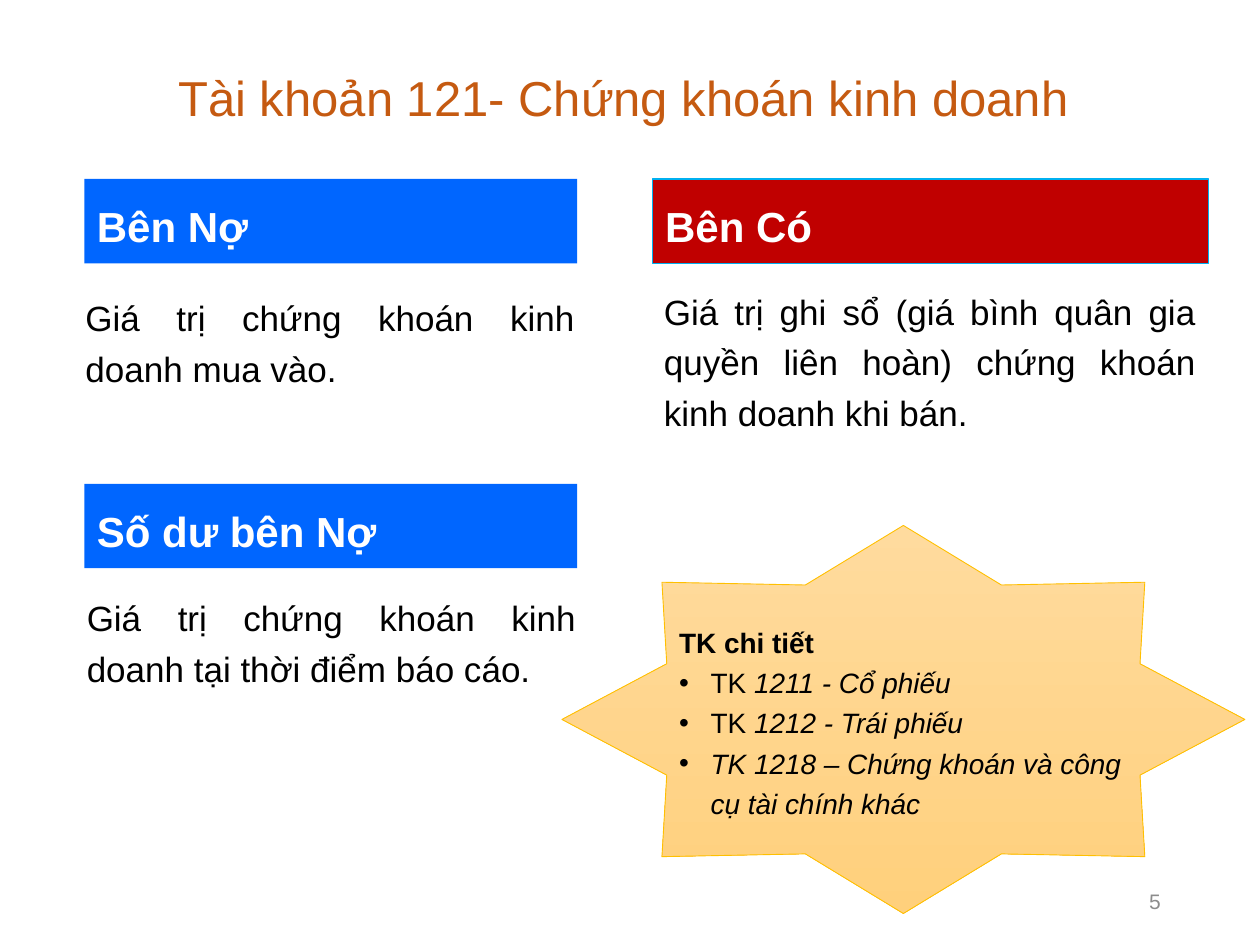
"""Build the slide on account 121, trading securities."""
from lxml import etree
from pptx import Presentation
from pptx import util as u
from pptx.dml.color import RGBColor
from pptx.enum import shapes, text
from pptx.oxml.ns import qn

CELL = u.Inches(0.1)
COLUMNS, ROWS = 100, 75
FONT = "Arial"
ORANGE = RGBColor(0xC5, 0x5A, 0x11)
BLUE = RGBColor(0x00, 0x66, 0xFF)
RED = RGBColor(0xC0, 0x00, 0x00)
CYAN = RGBColor(0x00, 0xB0, 0xF0)
GOLD = RGBColor(0xFF, 0xC0, 0x00)
PALE_GOLD = RGBColor(0xFF, 0xDB, 0x9E)
DEEP_GOLD = RGBColor(0xFF, 0xD0, 0x7C)
GRAY = RGBColor(0x8C, 0x8C, 0x8C)
BLACK = RGBColor(0, 0, 0)
WHITE = RGBColor(255, 255, 255)


def grid(box):
    """Turn a box in grid cells into slide lengths."""
    return [int(CELL * length) for length in box]


def style(paragraph, size, color, align=text.PP_ALIGN.LEFT, bold=False, spacing=1.2):
    """Format a whole paragraph."""
    paragraph.alignment = align
    paragraph.line_spacing = spacing
    font = paragraph.font
    font.name, font.size, font.bold = FONT, u.Pt(size), bold
    font.color.rgb = color


def hang(paragraph, indent, bullet=None):
    """Give a paragraph a hanging indent and an optional bullet."""
    properties = paragraph._p.get_or_add_pPr()
    properties.set("marL", str(u.Inches(indent)))
    properties.set("indent", str(-u.Inches(indent)))
    if bullet:
        etree.SubElement(properties, qn("a:buFont")).set("typeface", FONT)
        etree.SubElement(properties, qn("a:buChar")).set("char", bullet)


def add_panel(slide, kind, box, line_color=None, line_width=0.75):
    """Add a preset shape without shadow and return it."""
    shape = slide.shapes.add_shape(kind, *grid(box))
    shape.shadow.inherit = False
    if line_color is None:
        shape.line.fill.background()
    else:
        shape.line.color.rgb = line_color
        shape.line.width = u.Pt(line_width)
    shape.text_frame.word_wrap = True
    shape.text_frame.vertical_anchor = text.MSO_ANCHOR.MIDDLE
    return shape


def add_title(slide, box, words):
    """Place and format the title placeholder."""
    title = slide.shapes.title
    title.left, title.top, title.width, title.height = grid(box)
    title.text_frame.text = words
    title.text_frame.vertical_anchor = text.MSO_ANCHOR.MIDDLE
    style(title.text_frame.paragraphs[0], 28, ORANGE, text.PP_ALIGN.CENTER)


def add_text(slide, box, words, size, color, align, **options):
    """Add a wrapped one-paragraph text box and return its frame."""
    frame = slide.shapes.add_textbox(*grid(box)).text_frame
    frame.word_wrap = True
    frame.text = words
    style(frame.paragraphs[0], size, color, align, **options)
    return frame


def add_section(slide, box, heading, body, fill, body_offset, body_width, line_color=None):
    """Add a heading bar with its justified explanation below."""
    left, top, _, height = box
    bar = add_panel(slide, shapes.MSO_SHAPE.RECTANGLE, box, line_color)
    bar.fill.solid()
    bar.fill.fore_color.rgb = fill
    bar.text_frame.text = heading
    paragraph = bar.text_frame.paragraphs[0]
    hang(paragraph, 0.35)
    style(paragraph, 24, WHITE, bold=True)
    right, down = body_offset
    body_box = (left + right, top + height + down, body_width, 9)
    add_text(slide, body_box, body, 20, BLACK, text.PP_ALIGN.JUSTIFY)


def add_detail_star(slide, box, heading, accounts):
    """Add the star that lists the detailed accounts."""
    star = add_panel(slide, shapes.MSO_SHAPE.STAR_8_POINT, box, GOLD, 0.5)
    star.fill.gradient()
    star.fill.gradient_angle = 270
    for stop, color in zip(star.fill.gradient_stops, (PALE_GOLD, DEEP_GOLD)):
        stop.color.rgb = color
    frame = star.text_frame
    frame.text = heading
    style(frame.paragraphs[0], 16, BLACK, bold=True)
    for upright, italic in accounts:
        paragraph = frame.add_paragraph()
        hang(paragraph, 0.25, "•")
        style(paragraph, 16, BLACK)
        if upright:
            paragraph.add_run().text = upright
        run = paragraph.add_run()
        run.text = italic
        run.font.italic = True


def main():
    """Build and save the presentation."""
    presentation = Presentation()
    presentation.slide_width, presentation.slide_height = grid((COLUMNS, ROWS))
    slide = presentation.slides.add_slide(presentation.slide_layouts[5])
    add_title(slide, (6.9, 3.4, 86.2, 7.7), "Tài khoản 121- Chứng khoán kinh doanh ")
    add_section(slide, (6.7, 14.2, 39.1, 6.7), "Bên Nợ",
                "Giá trị chứng khoán kinh doanh mua vào.", BLUE, (-0.9, 1.5), 40.8)
    add_section(slide, (51.8, 14.2, 44.1, 6.7), "Bên Có",
                "Giá trị ghi sổ (giá bình quân gia quyền liên hoàn) chứng khoán kinh doanh khi bán.",
                RED, (-0.1, 1), 44.2, CYAN)
    add_section(slide, (6.7, 38.4, 39.1, 6.7), "Số dư bên Nợ",
                "Giá trị chứng khoán kinh doanh tại thời điểm báo cáo.", BLUE, (-0.8, 1.1), 40.8)
    add_detail_star(slide, (44.6, 41.7, 54.2, 30.8), "TK chi tiết", [
        ("TK ", "1211 - Cổ phiếu"),
        ("TK ", "1212 - Trái phiếu"),
        ("", "TK 1218 – Chứng khoán và công cụ tài chính khác"),
    ])
    number = add_text(slide, (70.6, 69.5, 22.5, 4), "5", 12, GRAY,
                      text.PP_ALIGN.RIGHT, spacing=1.0)
    number.vertical_anchor = text.MSO_ANCHOR.MIDDLE
    presentation.save("out.pptx")


if __name__ == "__main__":
    main()
